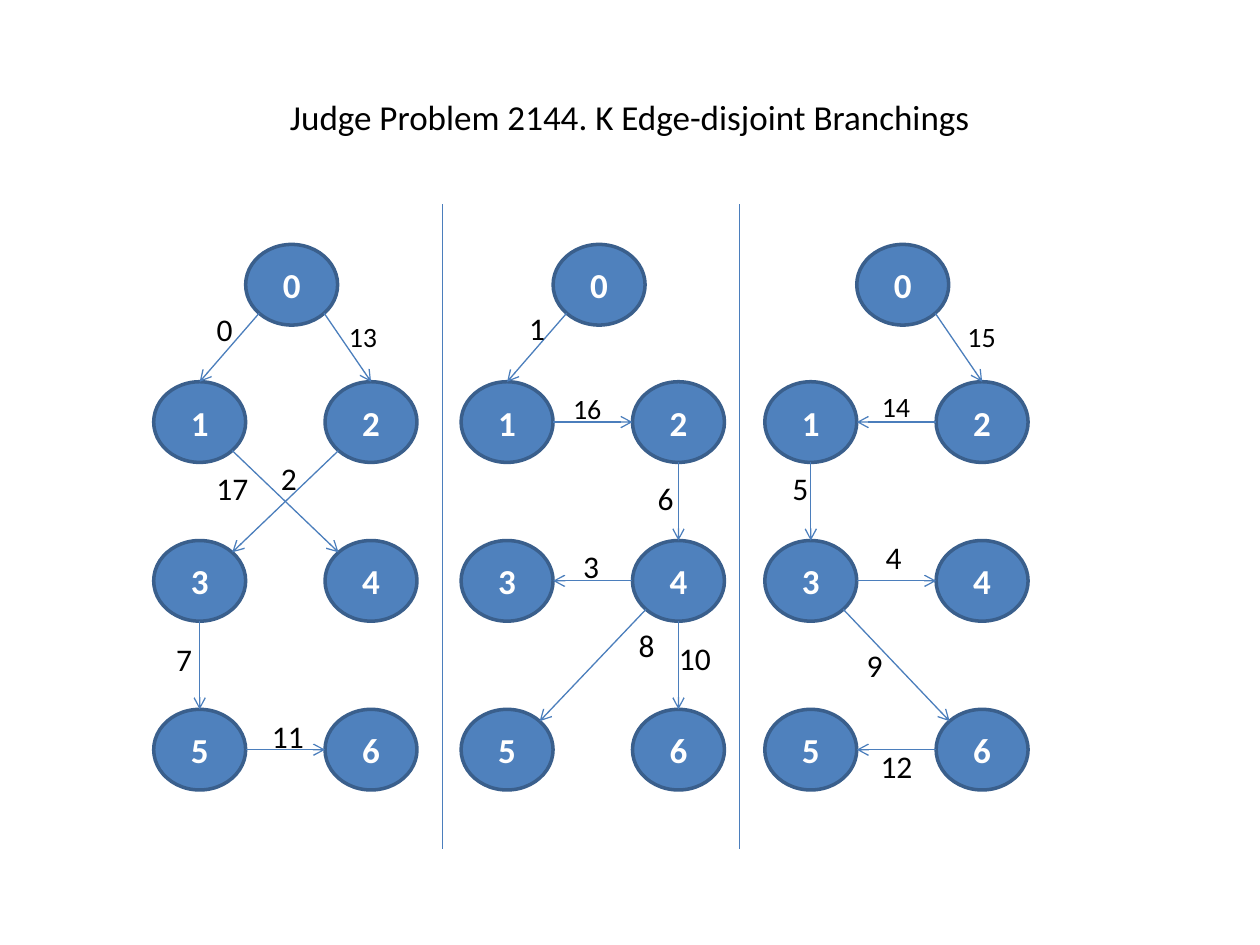
from dataclasses import dataclass
from math import sqrt

from lxml import etree
from pptx import Presentation
from pptx import util as u
from pptx.dml.color import RGBColor
from pptx.enum import shapes, text
from pptx.oxml import ns

TITLE = "Judge Problem 2144. K Edge-disjoint Branchings"

NODES = {
    "0": (0.73, 1.94),
    "1": (0, 3.03), "2": (1.36, 3.03),
    "3": (0, 4.29), "4": (1.36, 4.29),
    "5": (0, 5.63), "6": (1.36, 5.63),
}

# left edge, then edges: from, side, to, side, weight, label left, label top, size
TREES = [
    (1.22, [
        ("0", "SW", "1", "N", "0", 1.62, 2.41, 18),
        ("0", "SE", "2", "N", "13", 2.67, 2.49, 16),
        ("2", "SW", "3", "NE", "2", 2.13, 3.59, 18),
        ("1", "SE", "4", "NW", "17", 1.62, 3.67, 18),
        ("3", "S", "5", "N", "7", 1.3, 5.03, 18),
        ("5", "E", "6", "W", "11", 2.06, 5.64, 18),
    ]),
    (3.66, [
        ("0", "SW", "1", "N", "1", 4.1, 2.4, 18),
        ("1", "E", "2", "W", "16", 4.45, 3.06, 16),
        ("2", "S", "4", "N", "6", 5.12, 3.75, 18),
        ("4", "W", "3", "E", "3", 4.53, 4.29, 18),
        ("4", "SW", "5", "NE", "8", 4.97, 4.92, 18),
        ("4", "S", "6", "N", "10", 5.29, 5.02, 18),
    ]),
    (6.07, [
        ("0", "SE", "2", "N", "15", 7.58, 2.49, 16),
        ("2", "W", "1", "E", "14", 6.9, 3.04, 16),
        ("1", "S", "3", "N", "5", 6.19, 3.67, 18),
        ("3", "E", "4", "W", "4", 6.93, 4.22, 18),
        ("3", "SE", "6", "NW", "9", 6.78, 5.08, 18),
        ("6", "W", "5", "E", "12", 6.89, 5.88, 18),
    ]),
]

RULES = [3.51, 5.87]
TOP, BASE = 1.62, 6.74
WIDE, HIGH = 0.73, 0.64


@dataclass
class Theme:
    font: str = "Calibri"
    fill: str = "4F81BD"
    rim: str = "3A5F8C"
    edge: str = "4B7EBC"
    ink: str = "000000"
    pale: str = "FFFFFF"
    head: int = 20
    rim_pt: float = 2
    edge_pt: float = 0.75


theme = Theme()


def rgb(code):
    return RGBColor.from_string(code)


def inch(*sizes):
    return [u.Inches(size) for size in sizes]


def write(shape, words, size, color, bold=False, align=None):
    frame = shape.text_frame
    frame.text = words
    para = frame.paragraphs[0]
    para.alignment = align
    font = para.runs[0].font
    font.name, font.size, font.bold = theme.font, u.Pt(size), bold
    font.color.rgb = rgb(color)
    return frame


def node(slide, name, left, top):
    oval = slide.shapes.add_shape(
        shapes.MSO_SHAPE.OVAL, *inch(left, top, WIDE, HIGH))
    oval.shadow.inherit = False
    oval.fill.solid()
    oval.fill.fore_color.rgb = rgb(theme.fill)
    oval.line.color.rgb = rgb(theme.rim)
    oval.line.width = u.Pt(theme.rim_pt)
    frame = write(oval, name, theme.head, theme.pale, True, text.PP_ALIGN.CENTER)
    frame.vertical_anchor = text.MSO_ANCHOR.MIDDLE


def line(slide, start, end, arrow=False):
    link = slide.shapes.add_connector(
        shapes.MSO_CONNECTOR.STRAIGHT, *inch(*start, *end))
    link.line.color.rgb = rgb(theme.edge)
    link.line.width = u.Pt(theme.edge_pt)
    if arrow:
        tail = etree.SubElement(link.line._get_or_add_ln(), ns.qn("a:tailEnd"))
        tail.set("type", "arrow")
    etree.SubElement(link._element.spPr, ns.qn("a:effectLst"))


def port(base, name, side):
    left, top = NODES[name]
    across = ("E" in side) - ("W" in side)
    down = ("S" in side) - ("N" in side)
    reach = sqrt(across ** 2 + down ** 2)
    return (base + left + WIDE / 2 * (1 + across / reach),
            top + HIGH / 2 * (1 + down / reach))


def label(slide, words, left, top, size):
    width = 0.35 if len(words) == 1 else 0.5
    height = 0.4 if size == 18 else 0.37
    box = slide.shapes.add_textbox(*inch(left, top, width, height))
    frame = write(box, words, size, theme.ink)
    frame.word_wrap = False
    frame.auto_size = text.MSO_AUTO_SIZE.SHAPE_TO_FIT_TEXT


def main():
    deck = Presentation()
    deck.slide_width, deck.slide_height = inch(10, 7.5)
    slide = deck.slides.add_slide(deck.slide_layouts[6])

    title = slide.shapes.add_textbox(*inch(0.5, 0.3, 9, 1.25))
    frame = write(title, TITLE, theme.head, theme.ink, align=text.PP_ALIGN.CENTER)
    frame.word_wrap = True
    frame.vertical_anchor = text.MSO_ANCHOR.MIDDLE

    for x in RULES:
        line(slide, (x, TOP), (x, BASE))

    for base, edges in TREES:
        for name, (left, top) in NODES.items():
            node(slide, name, base + left, top)
        for source, out, target, into, weight, left, top, size in edges:
            line(slide, port(base, source, out), port(base, target, into), True)
            label(slide, weight, left, top, size)

    deck.save("out.pptx")


if __name__ == "__main__":
    main()
